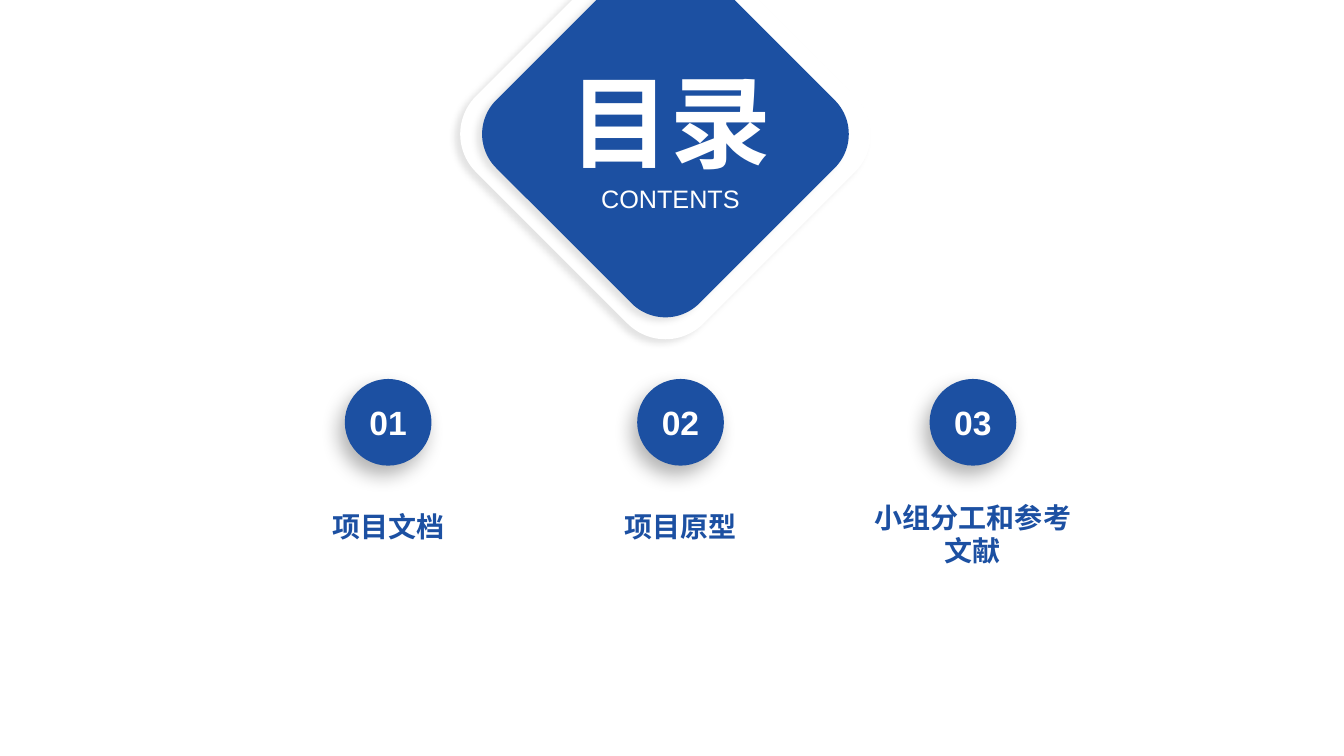
from lxml import etree
from pptx import Presentation
from pptx.dml.color import RGBColor
from pptx.enum.shapes import MSO_SHAPE as Shape
from pptx.enum.text import MSO_ANCHOR as Anchor, PP_ALIGN as Align
from pptx.oxml.ns import qn
from pptx.util import Inches, Pt

COLORS = {"blue": "1C50A2", "white": "FFFFFF", "shadow": "000000"}
DIAMOND_SHADOW = {"alpha": 11, "blur": 5, "distance": 5, "angle": 150}
CIRCLE_SHADOW = {"alpha": 30, "blur": 14, "distance": 8, "angle": 120}
TOPICS = ["项目文档", "项目原型", "小组分工和参考文献"]


def add_shadow(shape, alpha, blur, distance, angle):
    """Cast an outer shadow: alpha in percent, lengths in points, angle in degrees."""
    shape.shadow.inherit = False
    effects = shape._element.spPr.find(qn("a:effectLst"))
    shadow = etree.SubElement(
        effects, qn("a:outerShdw"), blurRad=str(Pt(blur)), dist=str(Pt(distance)),
        dir=str(angle * 60000), algn="ctr", rotWithShape="0")
    color = etree.SubElement(shadow, qn("a:srgbClr"), val=COLORS["shadow"])
    etree.SubElement(color, qn("a:alpha"), val=str(alpha * 1000))


def add_solid(slide, kind, box, color, shadow):
    shape = slide.shapes.add_shape(kind, *map(Inches, box))
    shape.fill.solid()
    shape.fill.fore_color.rgb = RGBColor.from_string(COLORS[color])
    shape.line.fill.background()
    add_shadow(shape, **shadow)
    return shape


def write(frame, text, size, font, color, bold=True):
    frame.word_wrap = True
    para = frame.paragraphs[0]
    para.text = text
    para.alignment = Align.CENTER
    style = para.runs[0].font
    style.size, style.name, style.bold = Pt(size), font, bold
    style.color.rgb = RGBColor.from_string(COLORS[color])


def add_text(slide, box, *style, margins=(0.1, 0.05), bold=True):
    frame = slide.shapes.add_textbox(*map(Inches, box)).text_frame
    frame.margin_left = frame.margin_right = Inches(margins[0])
    frame.margin_top = frame.margin_bottom = Inches(margins[1])
    write(frame, *style, bold=bold)


def add_title_diamond(slide, center_x, center_y):
    for side, color in ((3.19, "white"), (2.85, "blue")):
        box = (center_x - side / 2, center_y - side / 2, side, side)
        diamond = add_solid(slide, Shape.ROUNDED_RECTANGLE, box, color, DIAMOND_SHADOW)
        diamond.rotation = 45
    left, width = center_x - 1.85, 3.8
    add_text(slide, (left, center_y - 0.79, width, 1.31), "目录", 72, "Calibri", "white")
    add_text(slide, (left, center_y + 0.44, width, 0.4), "CONTENTS", 18, "Arial", "white",
             bold=False)


def add_topic(slide, left, top, width, number, title):
    """Place a numbered circle above its title, which may take two lines."""
    diameter = 0.86
    circle = add_solid(slide, Shape.OVAL,
                       (left + (width - diameter) / 2, top, diameter, diameter),
                       "blue", CIRCLE_SHADOW)
    circle.text_frame.vertical_anchor = Anchor.MIDDLE
    frame = circle.text_frame
    frame.margin_left = frame.margin_right = 0
    write(frame, f"{number:02d}", 24, "Arial", "white")
    two_lines = len(title) > 7
    offset, height = (1.16, 0.75) if two_lines else (1.25, 0.41)
    add_text(slide, (left, top + offset, width, height), title, 20, "Calibri", "blue",
             margins=(0.07, 0.04))


def main():
    deck = Presentation()
    deck.slide_width, deck.slide_height = Inches(13.33), Inches(7.5)
    slide = deck.slides.add_slide(deck.slide_layouts[6])
    add_title_diamond(slide, 6.6, 1.33)
    for index, title in enumerate(TOPICS):
        add_topic(slide, 2.7 + 2.9 * index, 3.76, 2.3, index + 1, title)
    deck.save("out.pptx")


if __name__ == "__main__":
    main()
